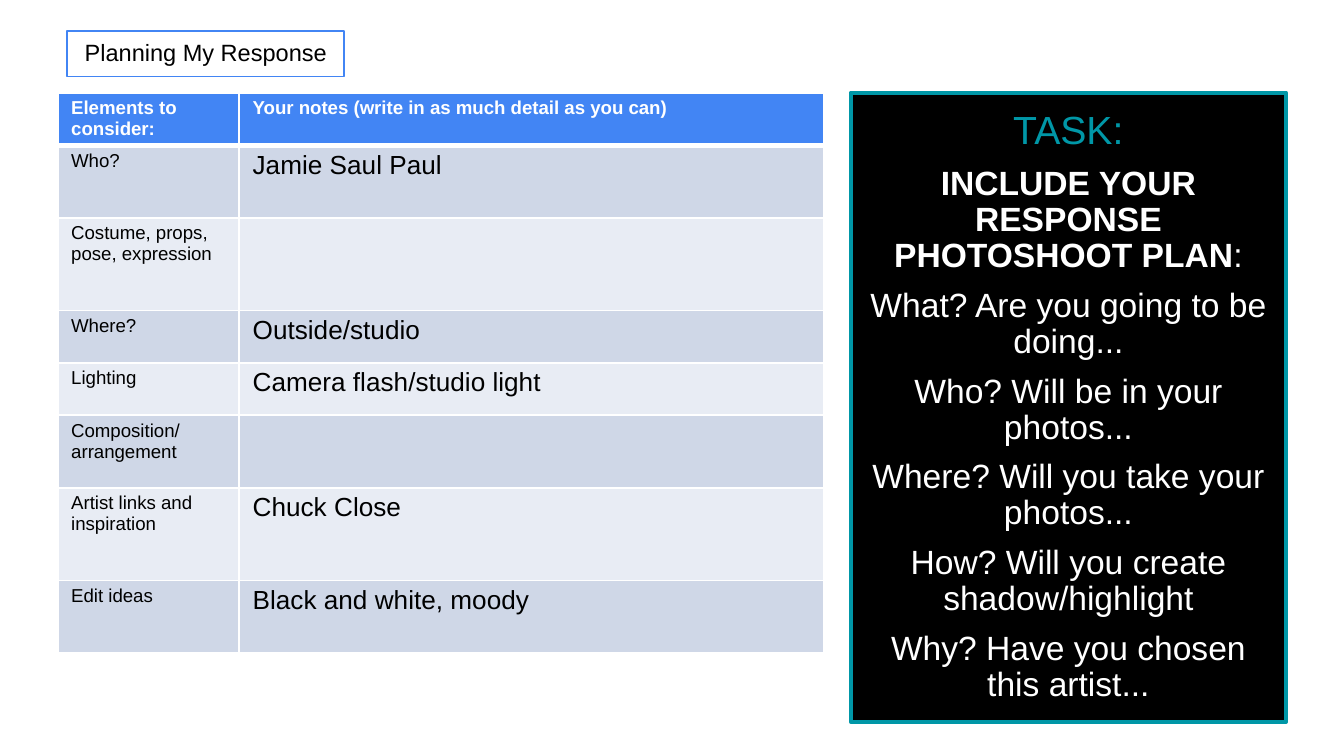
from lxml import etree
from pptx import Presentation
from pptx.dml.color import RGBColor
from pptx.enum import shapes, text
from pptx.oxml.ns import qn
from pptx.util import Inches, Pt

WHITE = RGBColor(0xFF, 0xFF, 0xFF)
BLACK = RGBColor(0, 0, 0)
BLUE = RGBColor(0x42, 0x85, 0xF4)
TEAL = RGBColor(0, 0x97, 0xA7)
DARK = RGBColor(0xCF, 0xD7, 0xE7)
LIGHT = RGBColor(0xE8, 0xEC, 0xF4)


def style(run, size, color, bold=False):
    font = run.font
    font.name = "Arial"
    font.size = Pt(size)
    font.color.rgb = color
    font.bold = bold


def panel(left, top, width, height, fill, line, weight):
    box = slide.shapes.add_shape(
        shapes.MSO_SHAPE.RECTANGLE,
        Inches(left), Inches(top), Inches(width), Inches(height))
    box.shadow.inherit = False
    box.fill.solid()
    box.fill.fore_color.rgb = fill
    box.line.color.rgb = line
    box.line.width = Pt(weight)
    frame = box.text_frame
    frame.word_wrap = True
    frame.vertical_anchor = text.MSO_ANCHOR.MIDDLE
    frame.margin_left = frame.margin_right = Inches(0.09)
    frame.margin_top = frame.margin_bottom = Inches(0.05)
    return frame


deck = Presentation()
deck.slide_width = Inches(10)
deck.slide_height = Inches(10 * 9 / 16)
slide = deck.slides.add_slide(deck.slide_layouts[6])

title = panel(0.5, 0.23, 2.06, 0.34, WHITE, BLUE, 0.75)
title.text = "Planning My Response"
para = title.paragraphs[0]
para.alignment = text.PP_ALIGN.CENTER
para.line_spacing = 0.9
style(para.runs[0], 12.6, BLACK)

rows = [
    ("Elements to consider:", "Your notes (write in as much detail as you can)", 0.38),
    ("Who?", "Jamie Saul Paul", 0.54),
    ("Costume, props, pose, expression", "", 0.69),
    ("Where?", "Outside/studio", 0.39),
    ("Lighting", "Camera flash/studio light", 0.39),
    ("Composition/arrangement", "", 0.54),
    ("Artist links and inspiration", "Chuck Close", 0.69),
    ("Edit ideas", "Black and white, moody", 0.54),
]
table = slide.shapes.add_table(
    len(rows), 2, Inches(0.43), Inches(0.69), Inches(5.7), Inches(4.16)).table
table.columns[0].width = Inches(1.35)
table.columns[1].width = Inches(4.35)

for r, (label, note, height) in enumerate(rows):
    table.rows[r].height = Inches(height)
    for c, words in enumerate((label, note)):
        cell = table.cell(r, c)
        cell.margin_left = cell.margin_right = Inches(0.1)
        cell.margin_top = cell.margin_bottom = Inches(0.04)
        props = cell._tc.get_or_add_tcPr()
        for side in ("lnL", "lnR", "lnT", "lnB"):
            weight = 3 if r == 0 and side == "lnB" else 1
            edge = etree.SubElement(props, qn(f"a:{side}"), w=str(Pt(weight)))
            paint = etree.SubElement(edge, qn("a:solidFill"))
            etree.SubElement(paint, qn("a:srgbClr"), val=str(WHITE))
        cell.fill.solid()
        cell.fill.fore_color.rgb = BLUE if r == 0 else DARK if r % 2 else LIGHT
        if words:
            cell.text_frame.text = words
            size = 14 if r and c else 10
            style(cell.text_frame.paragraphs[0].runs[0], size, BLACK if r else WHITE, r == 0)

task = panel(6.33, 0.69, 3.24, 4.68, BLACK, TEAL, 2.25)
lines = [
    "TASK:",
    "INCLUDE YOUR RESPONSE PHOTOSHOOT PLAN",
    "What? Are you going to be doing...",
    "Who? Will be in your photos...",
    "Where? Will you take your photos...",
    "How? Will you create shadow/highlight",
    "Why? Have you chosen this artist...",
]
task.text = "\n".join(lines)
for n, para in enumerate(task.paragraphs):
    para.alignment = text.PP_ALIGN.CENTER
    para.line_spacing = 0.9
    para.space_before = Pt(7 if n else 0)
    style(para.runs[0], 18 if n else 21, WHITE if n else TEAL, n == 1)
colon = task.paragraphs[1].add_run()
colon.text = ":"
style(colon, 18, WHITE)

deck.save("out.pptx")
